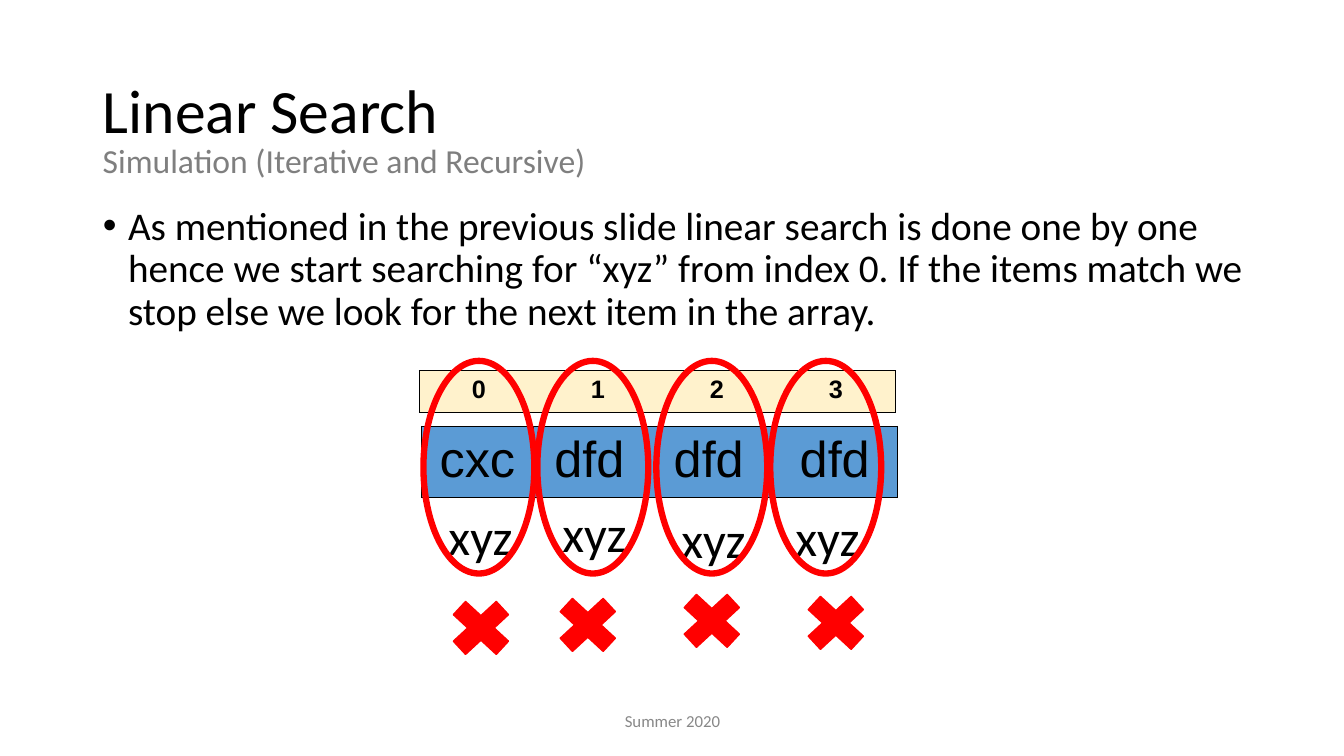
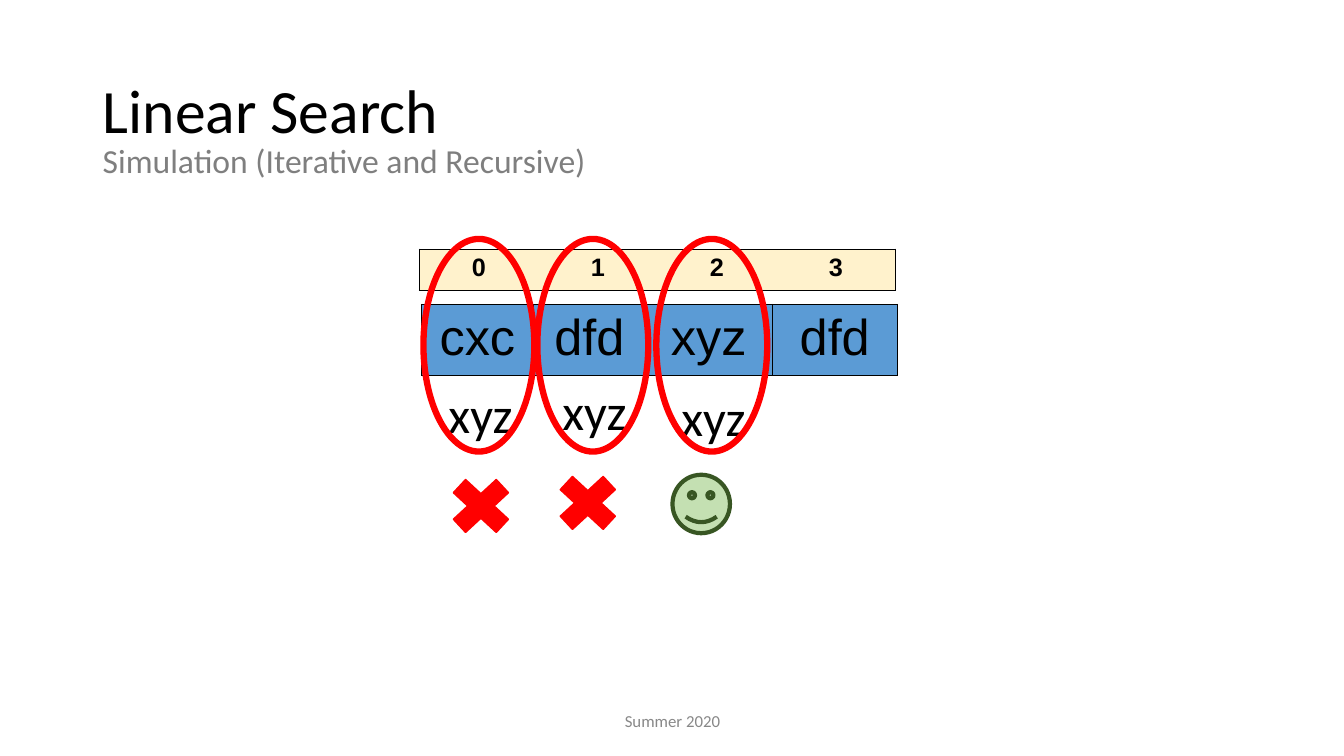
"""Build two slides that simulate a linear search through an array."""
from lxml import etree
from pptx import Presentation
from pptx.dml.color import RGBColor
from pptx.enum.shapes import MSO_SHAPE
from pptx.enum.text import MSO_ANCHOR, MSO_AUTO_SIZE, PP_ALIGN
from pptx.oxml.ns import qn
from pptx.util import Inches, Pt

ELLIPSE, CROSS, SMILEY = MSO_SHAPE.OVAL, MSO_SHAPE.MATH_MULTIPLY, MSO_SHAPE.SMILEY_FACE
LEFT, CENTER = PP_ALIGN.LEFT, PP_ALIGN.CENTER
TOP, MIDDLE = MSO_ANCHOR.TOP, MSO_ANCHOR.MIDDLE
NO_AUTOFIT = MSO_AUTO_SIZE.NONE

COLORS = {
    "text": "000000",
    "subtitle": "7F7F7F",
    "footer": "888888",
    "index": "FFF2CC",
    "item": "5B9BD5",
    "miss": "FF0000",
    "found": "C4E0B2",
    "found_line": "385623",
}
SLIDE_W, SLIDE_H = 13.33, 7.5
MARGIN, CONTENT_W = 0.92, 11.5
ARRAY_LEFT = 4.16
INDEX_COLUMNS = [1.18] * 4
ITEM_COLUMNS = [1.11, 1.11, 1.26, 1.24]
ITEM_OFFSET = (0.02, 0.55)
RING_SIZE, CROSS_SIZE, SMILEY_SIZE = (1.1, 2.11), (0.82, 0.76), (0.57, 0.58)
RING_RISE, TARGET_INSET = 0.1, 0.15
RING_LEFTS = [4.2, 5.33, 6.51, 7.64]
TARGET_DROPS = [1.28, 1.25, 1.31, 1.29]
CROSS_SPOTS = [(4.36, 2.17), (5.42, 2.14), (6.65, 2.1), (7.88, 2.12)]
SMILEY_SPOT = (6.67, 2.24)

TARGET = "xyz"
EXPLANATION = (
    "As mentioned in the previous slide linear search is done one by one hence we "
    "start searching for “xyz” from index 0. If the items match we stop else we "
    "look for the next item in the array."
)


def color(name):
    return RGBColor.from_string(COLORS[name])


def box(left, top, width, height):
    return [Inches(length) for length in (left, top, width, height)]


def write(frame, text, size, ink="text", font="Calibri", bold=False,
          align=LEFT, spacing=1.0):
    paragraph = frame.paragraphs[0]
    paragraph.text = text
    paragraph.alignment = align
    paragraph.line_spacing = spacing
    paragraph.space_before = Pt(0)
    paragraph.font.size = Pt(size)
    paragraph.font.name = font
    paragraph.font.bold = bold
    paragraph.font.color.rgb = color(ink)
    return paragraph


def add_text(slide, area, text, size, anchor=TOP, **style):
    frame = slide.shapes.add_textbox(*box(*area)).text_frame
    frame.word_wrap = True
    frame.vertical_anchor = anchor
    write(frame, text, size, **style)


def fill_placeholder(holder, area, text, size, anchor):
    holder.left, holder.top, holder.width, holder.height = box(*area)
    frame = holder.text_frame
    frame.auto_size = NO_AUTOFIT
    frame.vertical_anchor = anchor
    return write(frame, text, size, spacing=0.9)


def add_figure(slide, kind, spot, size, line, weight, fill=None):
    figure = slide.shapes.add_shape(kind, *box(*spot, *size))
    figure.shadow.inherit = False
    if fill:
        figure.fill.solid()
        figure.fill.fore_color.rgb = color(fill)
    else:
        figure.fill.background()
    figure.line.color.rgb = color(line)
    figure.line.width = Pt(weight)


def set_borders(cell, drawn):
    properties = cell._tc.get_or_add_tcPr()
    for side in "LRTB":
        edge = etree.SubElement(properties, qn(f"a:ln{side}"), w=str(Pt(0.75)))
        if side in drawn:
            paint = etree.SubElement(edge, qn("a:solidFill"))
            etree.SubElement(paint, qn("a:srgbClr"), val=COLORS["text"])
        else:
            etree.SubElement(edge, qn("a:noFill"))


def add_row(slide, spot, columns, height, values, fill, divided, **style):
    area = box(*spot, sum(columns), height)
    table = slide.shapes.add_table(1, len(columns), *area).table
    table.first_row = table.horz_banding = False
    table.rows[0].height = Inches(height)
    last = len(columns) - 1
    for i, (width, value) in enumerate(zip(columns, values)):
        table.columns[i].width = Inches(width)
        cell = table.cell(0, i)
        left = "L" if divided or i == 0 else ""
        right = "R" if divided or i == last else ""
        set_borders(cell, "TB" + left + right)
        cell.fill.solid()
        cell.fill.fore_color.rgb = color(fill)
        write(cell.text_frame, value, font="Arial", align=CENTER, **style)


def add_array(slide, top, items):
    right, down = ITEM_OFFSET
    add_row(slide, (ARRAY_LEFT + right, top + down), ITEM_COLUMNS, 0.66, items,
            "item", True, size=36)
    add_row(slide, (ARRAY_LEFT, top), INDEX_COLUMNS, 0.41,
            [str(i) for i in range(len(items))], "index", False, size=18, bold=True)


def add_search(slide, top, items):
    add_array(slide, top, items)
    for i, item in enumerate(items):
        ring_left = RING_LEFTS[i]
        add_text(slide, (ring_left + TARGET_INSET, top + TARGET_DROPS[i], 0.87, 0.71),
                 TARGET, 36)
        add_figure(slide, ELLIPSE, (ring_left, top - RING_RISE), RING_SIZE, "miss", 4.5)
        if item == TARGET:
            left, drop = SMILEY_SPOT
            add_figure(slide, SMILEY, (left, top + drop), SMILEY_SIZE,
                       "found_line", 3, "found")
            break
        left, drop = CROSS_SPOTS[i]
        add_figure(slide, CROSS, (left, top + drop), CROSS_SIZE, "miss", 1, "miss")


def add_explanation(slide):
    paragraph = fill_placeholder(slide.placeholders[1], (MARGIN, 2, CONTENT_W, 4.76),
                                 EXPLANATION, 28, TOP)
    properties = paragraph._p.get_or_add_pPr()
    properties.set("marL", str(Inches(0.25)))
    properties.set("indent", str(-Inches(0.25)))


def start_slide(deck, layout):
    slide = deck.slides.add_slide(deck.slide_layouts[layout])
    fill_placeholder(slide.shapes.title, (MARGIN, 0.4, CONTENT_W, 1.45),
                     "Linear Search", 44, MIDDLE)
    add_text(slide, (MARGIN, 1.38, CONTENT_W, 0.62),
             "Simulation (Iterative and Recursive)", 24, ink="subtitle", spacing=0.9)
    add_text(slide, (4.42, 6.95, 4.5, 0.4), "Summer 2020", 12, MIDDLE,
             ink="footer", align=CENTER)
    return slide


def main():
    deck = Presentation()
    deck.slide_width, deck.slide_height = Inches(SLIDE_W), Inches(SLIDE_H)

    missing = start_slide(deck, 1)
    add_explanation(missing)
    add_search(missing, 3.68, ["cxc", "dfd", "dfd", "dfd"])

    found = start_slide(deck, 5)
    add_search(found, 2.47, ["cxc", "dfd", "xyz", "dfd"])

    deck.save("out.pptx")


if __name__ == "__main__":
    main()
